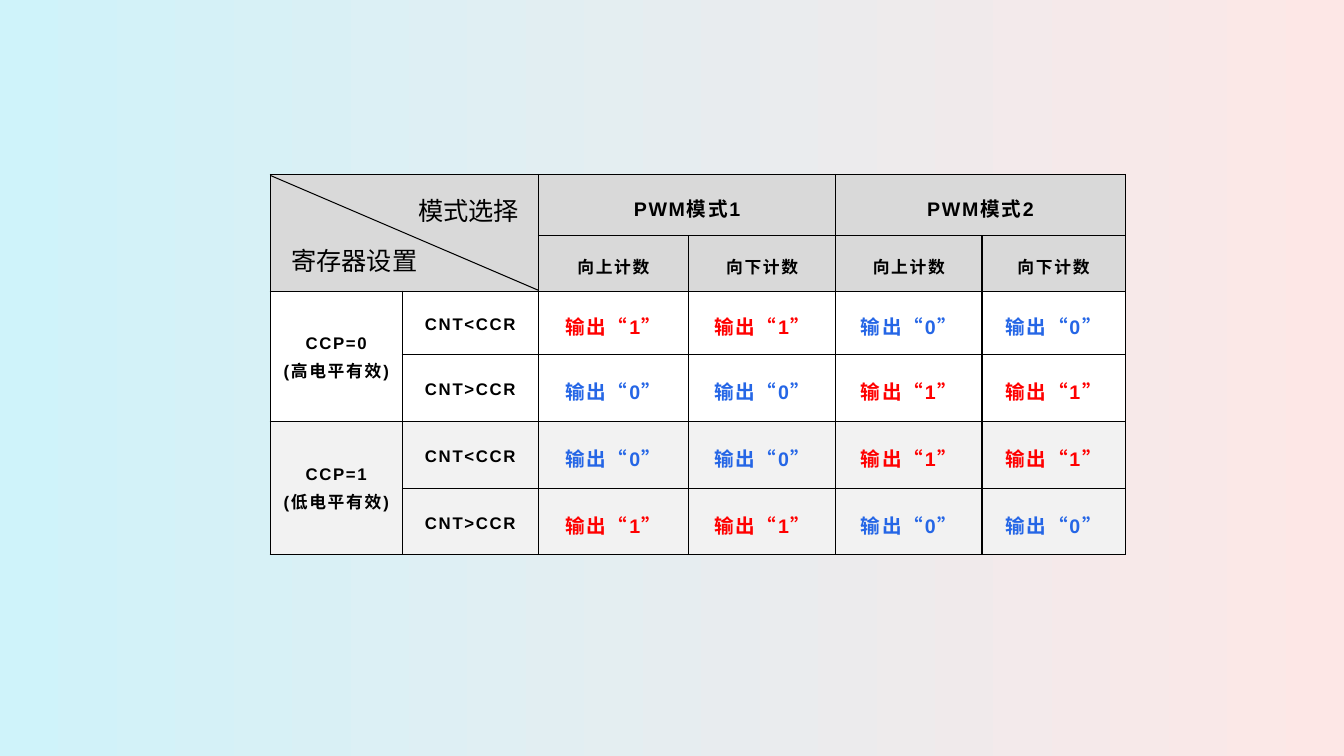
"""Build a slide tabulating PWM output levels by mode, counting direction and polarity."""
from dataclasses import dataclass

from lxml import etree
from pptx import Presentation
from pptx.dml.color import RGBColor
from pptx.enum.shapes import MSO_CONNECTOR
from pptx.enum.text import MSO_ANCHOR, MSO_AUTO_SIZE, PP_ALIGN
from pptx.oxml.ns import qn
from pptx.slide import Slide
from pptx.table import Table
from pptx.util import Inches, Pt

CENTER = PP_ALIGN.CENTER
MIDDLE = MSO_ANCHOR.MIDDLE
FIT_SHAPE = MSO_AUTO_SIZE.SHAPE_TO_FIT_TEXT
STRAIGHT = MSO_CONNECTOR.STRAIGHT

BLACK = RGBColor(0x00, 0x00, 0x00)
WHITE = RGBColor(0xFF, 0xFF, 0xFF)
RED = RGBColor(0xFF, 0x00, 0x00)
BLUE = RGBColor(0x25, 0x66, 0xE6)
HEADER_GRAY = RGBColor(0xD9, 0xD9, 0xD9)
BAND_GRAY = RGBColor(0xF2, 0xF2, 0xF2)
SKY = RGBColor(0xCF, 0xF3, 0xFA)
BLUSH = RGBColor(0xFD, 0xE7, 0xE6)

TABLE_LEFT, TABLE_TOP = 2.68, 1.73
COLUMN_WIDTHS = (1.31, 1.35, 1.49, 1.46, 1.45, 1.42)
ROW_HEIGHTS = (0.61, 0.55, 0.63, 0.66, 0.67, 0.65)
LEVEL_NAMES = ("高", "低")
COMPARISONS = ("CNT<CCR", "CNT>CCR")
DIRECTIONS = ("向上计数", "向下计数")


@dataclass(frozen=True)
class Entry:
    """Text of one table cell and the rows and columns it covers."""

    row: int
    column: int
    lines: tuple[str, ...] = ()
    size: int = 12
    color: RGBColor = BLACK
    row_span: int = 1
    column_span: int = 1


@dataclass(frozen=True)
class Label:
    """Text placed in the split corner cell."""

    text: str
    left: float
    top: float
    width: float


CORNER_LABELS = (
    Label("模式选择", 4.05, 1.89, 1.29),
    Label("寄存器设置", 2.79, 2.38, 1.49),
)


def table_entries() -> list[Entry]:
    """List the headers and the output levels implied by each setting."""
    entries = [Entry(0, 0, row_span=2, column_span=2)]
    for mode in range(2):
        first_column = 2 + 2 * mode
        entries.append(Entry(0, first_column, (f"PWM模式{mode + 1}",), 14, column_span=2))
        for offset, direction in enumerate(DIRECTIONS):
            entries.append(Entry(1, first_column + offset, (direction,)))
    for polarity, level_name in enumerate(LEVEL_NAMES):
        first_row = 2 + 2 * polarity
        lines = (f"CCP={polarity}", f"({level_name}电平有效)")
        entries.append(Entry(first_row, 0, lines, row_span=2))
        for above, comparison in enumerate(COMPARISONS):
            row = first_row + above
            entries.append(Entry(row, 1, (comparison,)))
            for column in range(2, 6):
                mode = (column - 2) // 2
                level = (polarity + above + mode + 1) % 2
                color = RED if level else BLUE
                entries.append(Entry(row, column, (f"输出“{level}”",), 14, color))
    return entries


def style_grid(table: Table) -> None:
    """Give every cell its borders and the fill of its row band."""
    for row_index, row in enumerate(table.rows):
        fill = (HEADER_GRAY, WHITE, BAND_GRAY)[row_index // 2]
        for cell in row.cells:
            properties = cell._tc.get_or_add_tcPr()
            for side in ("a:lnL", "a:lnR", "a:lnT", "a:lnB"):
                border = etree.SubElement(properties, qn(side), w=str(Pt(1)))
                solid = etree.SubElement(border, qn("a:solidFill"))
                etree.SubElement(solid, qn("a:srgbClr"), val=str(BLACK))
            cell.fill.solid()
            cell.fill.fore_color.rgb = fill


def write_entry(table: Table, entry: Entry) -> None:
    """Merge the cells of an entry and write its centred text."""
    cell = table.cell(entry.row, entry.column)
    if entry.row_span * entry.column_span > 1:
        last_row = entry.row + entry.row_span - 1
        last_column = entry.column + entry.column_span - 1
        cell.merge(table.cell(last_row, last_column))
    cell.vertical_anchor = MIDDLE
    cell.text = "\n".join(entry.lines)
    for para in cell.text_frame.paragraphs:
        para.alignment = CENTER
        para.line_spacing = 1.2
        para.font.name = "Arial"
        para.font.size = Pt(entry.size)
        para.font.bold = True
        para.font.color.rgb = entry.color
        para._p.pPr.find(qn("a:defRPr")).set("spc", "120")


def add_mode_table(page: Slide) -> None:
    """Add the table of output levels."""
    frame = page.shapes.add_table(
        len(ROW_HEIGHTS), len(COLUMN_WIDTHS), Inches(TABLE_LEFT), Inches(TABLE_TOP),
        Inches(sum(COLUMN_WIDTHS)), Inches(sum(ROW_HEIGHTS)),
    )
    table = frame.table
    for column, width in zip(table.columns, COLUMN_WIDTHS):
        column.width = Inches(width)
    for row, height in zip(table.rows, ROW_HEIGHTS):
        row.height = Inches(height)
    style_grid(table)
    for entry in table_entries():
        write_entry(table, entry)


def add_corner_diagonal(page: Slide) -> None:
    """Split the corner cell with a diagonal line."""
    diagonal = page.shapes.add_connector(
        STRAIGHT, Inches(2.68), Inches(1.74), Inches(5.34), Inches(2.88)
    )
    diagonal.line.color.rgb = BLACK
    diagonal.line.width = Pt(0.75)
    etree.SubElement(diagonal._element.spPr, qn("a:effectLst"))


def add_corner_label(page: Slide, label: Label) -> None:
    """Add one label of the corner cell."""
    box = page.shapes.add_textbox(
        Inches(label.left), Inches(label.top), Inches(label.width), Inches(0.4)
    )
    box.text_frame.word_wrap = True
    box.text_frame.auto_size = FIT_SHAPE
    para = box.text_frame.paragraphs[0]
    para.text = label.text
    para.font.name = "Calibri"
    para.font.size = Pt(18)
    para.font.color.rgb = BLACK


def paint_background(page: Slide) -> None:
    """Fill the background with a left-to-right gradient."""
    fill = page.background.fill
    fill.gradient()
    fill.gradient_angle = 0
    for stop, position, color in zip(fill.gradient_stops, (0, 1), (SKY, BLUSH)):
        stop.position = position
        stop.color.rgb = color


def main() -> None:
    """Build and save the deck."""
    deck = Presentation()
    deck.slide_width, deck.slide_height = Inches(13.33), Inches(7.5)
    page = deck.slides.add_slide(deck.slide_layouts[6])
    paint_background(page)
    add_mode_table(page)
    add_corner_diagonal(page)
    for label in CORNER_LABELS:
        add_corner_label(page, label)
    deck.save("out.pptx")


if __name__ == "__main__":
    main()
